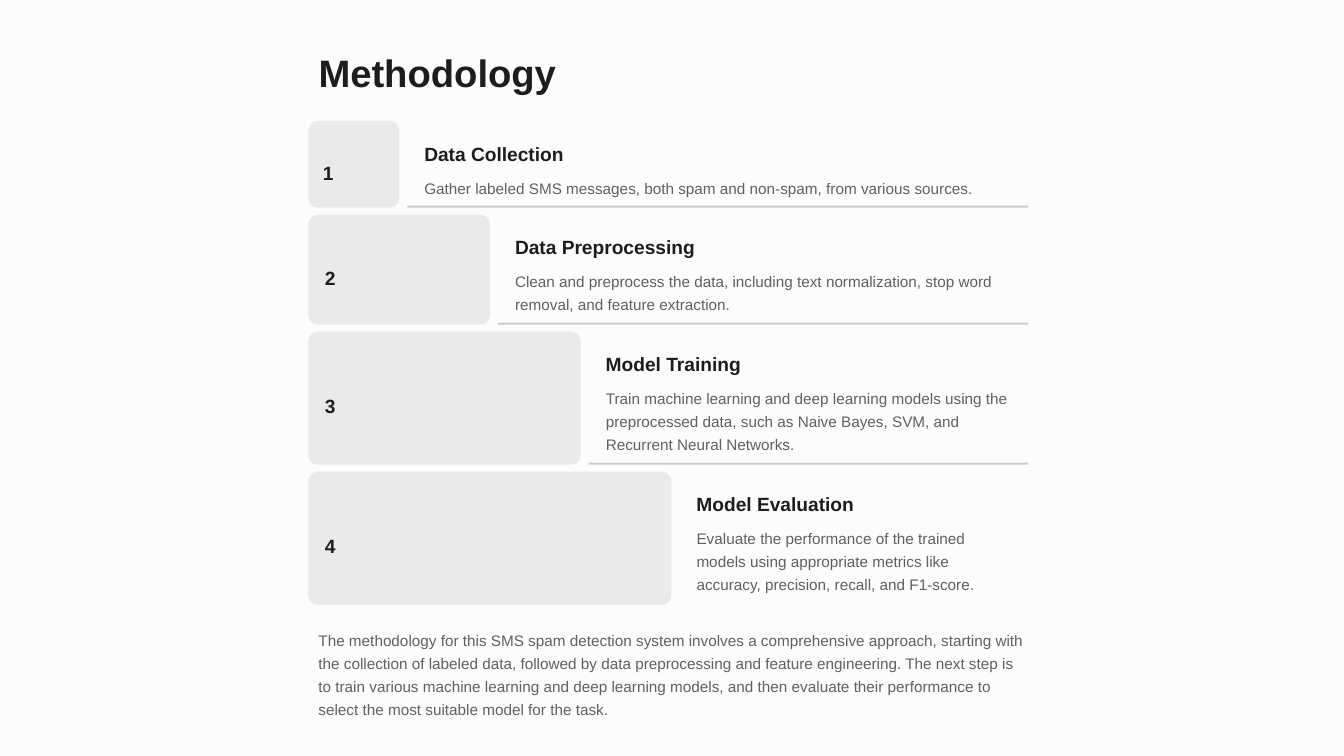
from pptx import Presentation
from pptx.dml.color import RGBColor
from pptx.enum.shapes import MSO_SHAPE
from pptx.enum.text import MSO_ANCHOR, MSO_AUTO_SIZE, PP_ALIGN
from pptx.util import Inches, Pt

ROUNDED, RECTANGLE = MSO_SHAPE.ROUNDED_RECTANGLE, MSO_SHAPE.RECTANGLE
LEFT, CENTER = PP_ALIGN.LEFT, PP_ALIGN.CENTER
TOP, NO_AUTOSIZE = MSO_ANCHOR.TOP, MSO_AUTO_SIZE.NONE

PAPER = RGBColor(0xFC, 0xFC, 0xFC)
INK = RGBColor(0x1D, 0x1D, 0x1B)
GRAY = RGBColor(0x61, 0x61, 0x5C)
BAR = RGBColor(0xEA, 0xEA, 0xEA)
RULE = RGBColor(0xCC, 0xCC, 0xCB)

MARGIN = 3.06
RIGHT_EDGE = 10.2
BAR_STEP = 0.9
BAR_GAP = 0.07
LINE_HEIGHT = 0.23
CORNER_RADIUS = 0.09

# Heading, description, lines of description
STEPS = [
    ("Data Collection",
     "Gather labeled SMS messages, both spam and non-spam, from various sources.", 1),
    ("Data Preprocessing",
     "Clean and preprocess the data, including text normalization, stop word "
     "removal, and feature extraction.", 2),
    ("Model Training",
     "Train machine learning and deep learning models using the preprocessed data, "
     "such as Naive Bayes, SVM, and Recurrent Neural Networks.", 3),
    ("Model Evaluation",
     "Evaluate the performance of the trained models using appropriate metrics like "
     "accuracy, precision, recall, and F1-score.", 3),
]
SUMMARY = (
    "The methodology for this SMS spam detection system involves a comprehensive "
    "approach, starting with the collection of labeled data, followed by data "
    "preprocessing and feature engineering. The next step is to train various machine "
    "learning and deep learning models, and then evaluate their performance to select "
    "the most suitable model for the task."
)

presentation = Presentation()
presentation.slide_width = Inches(13.33)
presentation.slide_height = Inches(7.5)
slide = presentation.slides.add_slide(presentation.slide_layouts[5])
slide.background.fill.solid()
slide.background.fill.fore_color.rgb = PAPER


def write(shape, text, size, spacing, color=INK, bold=True, wrap=False, align=LEFT):
    text_frame = shape.text_frame
    text_frame.text = text
    text_frame.word_wrap = wrap
    text_frame.auto_size = NO_AUTOSIZE
    text_frame.vertical_anchor = TOP
    paragraph = text_frame.paragraphs[0]
    paragraph.alignment = align
    paragraph.line_spacing = Pt(spacing)
    font = paragraph.runs[0].font
    font.name, font.size, font.bold = "Arial", Pt(size), bold
    font.color.rgb = color


def add_block(kind, left, top, width, height, color):
    shape = slide.shapes.add_shape(
        kind, Inches(left), Inches(top), Inches(width), Inches(height))
    shape.shadow.inherit = False
    shape.fill.solid()
    shape.fill.fore_color.rgb = color
    shape.line.fill.background()
    return shape


# Title
title = slide.shapes.title
title.left, title.top = Inches(MARGIN), Inches(0.42)
title.width, title.height = Inches(3.8), Inches(0.47)
write(title, "Methodology", 27.3, 34.2)

# Steps, each with a longer bar than the one before
top = 1.2
for number, (heading, description, lines) in enumerate(STEPS, start=1):
    bar_width = BAR_STEP * number
    bar_height = 0.63 + LINE_HEIGHT * lines
    bar_right = MARGIN + bar_width
    text_left = bar_right + 0.15

    bar = add_block(ROUNDED, MARGIN, top, bar_width, bar_height, BAR)
    bar.adjustments[0] = CORNER_RADIUS / bar_height

    number_width = 0.09 if number == 1 else 0.13
    number_box = slide.shapes.add_textbox(
        Inches(3.21), Inches(top + (bar_height - 0.28) / 2),
        Inches(number_width), Inches(0.28))
    write(number_box, str(number), 13.7, 20.5, align=CENTER)

    heading_box = slide.shapes.add_textbox(
        Inches(text_left), Inches(top + 0.15), Inches(1.9), Inches(0.24))
    write(heading_box, heading, 13.7, 17.1)

    description_box = slide.shapes.add_textbox(
        Inches(text_left), Inches(top + 0.48),
        Inches(10.12 - text_left), Inches(LINE_HEIGHT * lines))
    write(description_box, description, 10.9, 16.4, GRAY, bold=False, wrap=True)

    # Divider under every step but the last
    if number < len(STEPS):
        divider_left = bar_right + 0.08
        add_block(RECTANGLE, divider_left, top + bar_height - 0.02,
                  RIGHT_EDGE - divider_left, 0.02, RULE)
    top += bar_height + BAR_GAP

# Summary
summary_box = slide.shapes.add_textbox(
    Inches(MARGIN), Inches(6.17), Inches(7.21), Inches(0.91))
write(summary_box, SUMMARY, 10.9, 16.4, GRAY, bold=False, wrap=True)

presentation.save("out.pptx")
